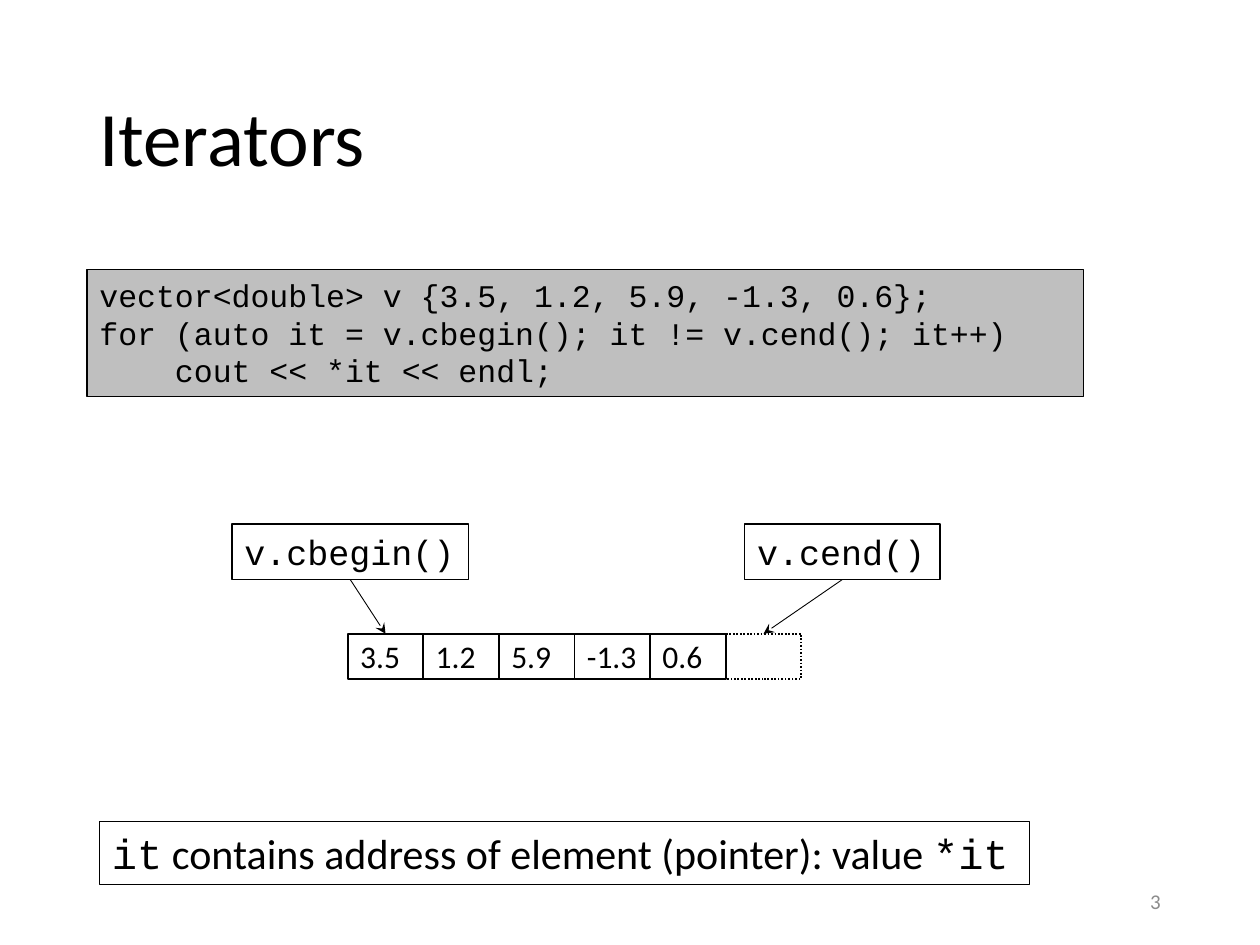
import pptx
import pptx.dml.color
import pptx.enum.dml
import pptx.enum.shapes
import pptx.enum.text
import pptx.oxml
import pptx.oxml.ns
import pptx.util
from pptx.util import Inches

COLORS = {"ink": "000000", "code": "BFBFBF", "number": "8C8C8C"}
BODY, MONO = "Calibri", "Courier New"
MIDDLE = pptx.enum.text.MSO_ANCHOR.MIDDLE
TOP = pptx.enum.text.MSO_ANCHOR.TOP
LEFT = pptx.enum.text.PP_ALIGN.LEFT
RIGHT = pptx.enum.text.PP_ALIGN.RIGHT


def rgb(name):
    return pptx.dml.color.RGBColor.from_string(COLORS[name])


def write(shape, lines, size, color="ink", anchor=TOP, align=LEFT, right=0.1):
    """Each line is a list of (text, font name) runs."""
    frame = shape.text_frame
    frame.word_wrap = True
    frame.vertical_anchor = anchor
    frame.margin_right = Inches(right)
    for index, runs in enumerate(lines):
        paragraph = frame.add_paragraph() if index else frame.paragraphs[0]
        paragraph.alignment = align
        for text, font in runs:
            run = paragraph.add_run()
            run.text = text
            run.font.name = font
            run.font.size = pptx.util.Pt(size)
            run.font.color.rgb = rgb(color)


def add_box(slide, box, fill=None, width=0.75):
    rect = slide.shapes.add_shape(
        pptx.enum.shapes.MSO_SHAPE.RECTANGLE, *map(Inches, box))
    rect.shadow.inherit = False
    if fill:
        rect.fill.solid()
        rect.fill.fore_color.rgb = rgb(fill)
    else:
        rect.fill.background()
    rect.line.color.rgb = rgb("ink")
    rect.line.width = pptx.util.Pt(width)
    return rect


def add_arrow(slide, label, cell):
    """Arrow from the bottom of a label to the top of a cell."""
    arrow = slide.shapes.add_connector(
        pptx.enum.shapes.MSO_CONNECTOR.STRAIGHT, 0, 0, 0, 0)
    arrow.begin_connect(label, 2)
    arrow.end_connect(cell, 0)
    arrow.line.color.rgb = rgb("ink")
    arrow.line.width = pptx.util.Pt(0.5)
    namespace = pptx.oxml.ns.nsdecls("a")
    arrow.line._get_or_add_ln().append(
        pptx.oxml.parse_xml(f'<a:tailEnd {namespace} type="stealth"/>'))
    arrow._element.spPr.append(pptx.oxml.parse_xml(f"<a:effectLst {namespace}/>"))


def add_title(slide, box):
    title = slide.shapes.add_textbox(*map(Inches, box))
    write(title, [[("Iterators", BODY)]], 44, anchor=MIDDLE)
    title.text_frame.paragraphs[0].line_spacing = 0.9


def add_code(slide, box):
    code = [
        "vector<double> v {3.5, 1.2, 5.9, -1.3, 0.6};",
        "for (auto it = v.cbegin(); it != v.cend(); it++)",
        "    cout << *it << endl;",
    ]
    write(add_box(slide, box, "code"), [[(line, MONO)] for line in code], 18)


def add_vector(slide, box):
    """Value cells and the past-the-end cell along the foot, labels at the top."""
    left, top, width, height = box
    values = ["3.5", "1.2", "5.9", "-1.3", "0.6"]
    cell_width, cell_height = 0.6, 0.36
    cells_left, cells_top = left + 0.92, top + height - cell_height
    cells = []
    for index in range(len(values) + 1):
        cells.append(add_box(slide, (cells_left + index * cell_width, cells_top,
                                     cell_width, cell_height), width=1))
    for cell, value in zip(cells, values):
        write(cell, [[(value, BODY)]], 18, anchor=MIDDLE, right=0)
    cells[-1].line.dash_style = pptx.enum.dml.MSO_LINE.ROUND_DOT

    # Iterator labels, one at each end of the box
    begin_width, end_width, label_height = 1.88, 1.55, 0.44
    for text, label_left, label_width, cell in [
        ("v.cbegin()", left, begin_width, cells[0]),
        ("v.cend()", left + width - end_width, end_width, cells[-1]),
    ]:
        label = add_box(slide, (label_left, top, label_width, label_height))
        write(label, [[(text, MONO)]], 20, right=0)
        add_arrow(slide, label, cell)


def add_note(slide, box):
    write(add_box(slide, box), [[
        ("it", MONO),
        (" contains address of element (pointer): value ", BODY),
        ("*it", MONO),
    ]], 24, right=0)


def add_number(slide, box):
    number = slide.shapes.add_textbox(*map(Inches, box))
    write(number, [[("3", BODY)]], 12, "number", MIDDLE, RIGHT)


def main():
    deck = pptx.Presentation()
    deck.slide_width, deck.slide_height = Inches(10), Inches(7.5)
    slide = deck.slides.add_slide(deck.slide_layouts[6])
    add_title(slide, (0.69, 0.4, 8.62, 1.45))
    add_number(slide, (7.06, 6.95, 2.25, 0.4))
    add_code(slide, (0.69, 2.14, 7.91, 1.01))
    add_vector(slide, (1.84, 4.16, 5.62, 1.23))
    add_note(slide, (0.79, 6.52, 7.38, 0.5))
    deck.save("out.pptx")


if __name__ == "__main__":
    main()
